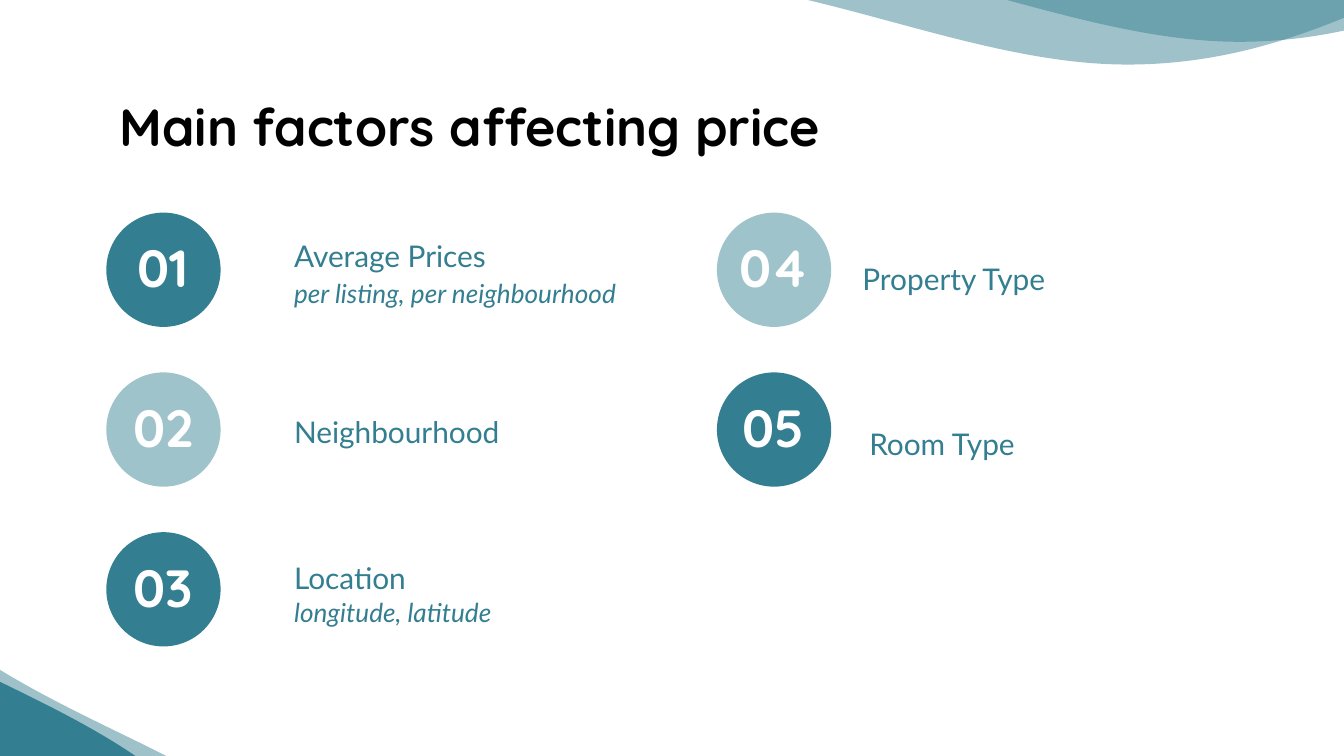
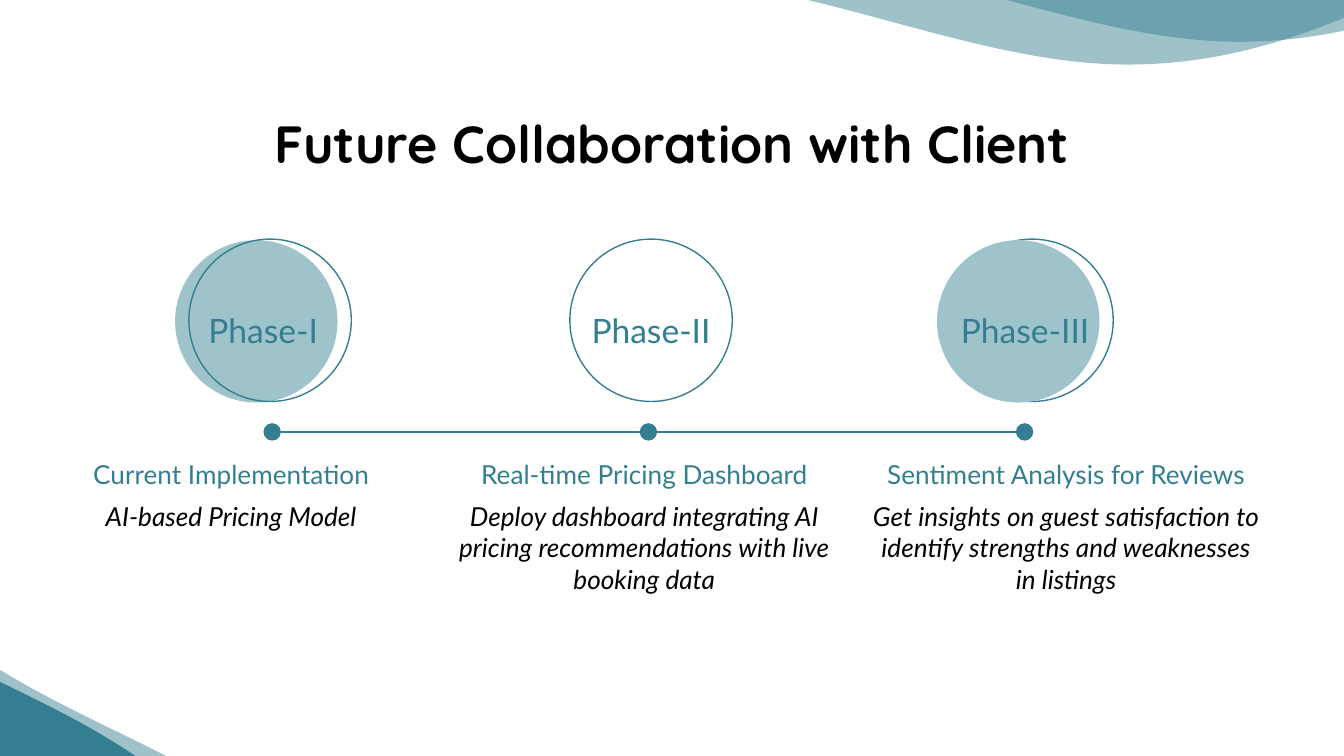
from dataclasses import dataclass
from lxml.etree import SubElement
from pptx import Presentation
from pptx.dml.color import RGBColor
from pptx.enum.shapes import MSO_CONNECTOR, MSO_SHAPE
from pptx.enum.text import MSO_ANCHOR, PP_ALIGN
from pptx.oxml.ns import qn
from pptx.util import Cm, Pt


@dataclass(frozen=True)
class Theme:
    """Hold the colours, fonts and type sizes of the deck."""
    teal: RGBColor = RGBColor(0x33, 0x7E, 0x90)
    pale: RGBColor = RGBColor(0x9F, 0xC3, 0xCB)
    black: RGBColor = RGBColor(0, 0, 0)
    white: RGBColor = RGBColor(0xFF, 0xFF, 0xFF)
    head: str = "Quicksand"
    body: str = "Lato"
    title: int = 28
    phase: int = 18
    item: int = 16
    note: int = 14
    alpha: int = 47


THEME = Theme()
WIDE, HIGH = 25.4, 14.29

WAVE = [
    [(13.89, -0.91)],
    [(17.32, -0.91), (20.4, 0.79), (23.42, 0.79)],
    [(28.87, 0.79), (31.72, -3.94), (39.95, -3.94)],
    [(13.89, -3.94)],
]
HILL = [
    [(8.2, 16.46)],
    [(-5.72, 16.46)],
    [(-5.72, 8)],
    [(-1.35, 15.15), (4.37, 12.22), (8.2, 16.46)],
]
TILT = 11.4

FACTORS = [
    ("01", 0, 0, THEME.teal),
    ("02", 0, 1, THEME.pale),
    ("03", 0, 2, THEME.teal),
    ("04", 1, 0, THEME.pale),
    ("05", 1, 1, THEME.teal),
]
ITEMS = [
    ("Average Prices", 5.31, 4.15, MSO_ANCHOR.TOP),
    ("Neighbourhood", 5.31, 7.47, MSO_ANCHOR.TOP),
    ("Location", 5.31, 10.23, MSO_ANCHOR.TOP),
    ("Property Type", 16.05, 4.72, MSO_ANCHOR.MIDDLE),
    ("Room Type", 16.18, 7.84, MSO_ANCHOR.MIDDLE),
]
NOTES = [
    ("per listing, per neighbourhood", 4.99, 7.26),
    ("longitude, latitude", 11.02, 6.12),
]
PHASES = [
    ("Phase-I", 0.46, "Current Implementation", "AI-based Pricing Model"),
    ("Phase-II", 8.27, "Real-time Pricing Dashboard",
     "Deploy dashboard integrating AI pricing recommendations with live booking data"),
    ("Phase-III", 16.24, "Sentiment Analysis for Reviews",
     "Get insights on guest satisfaction to identify strengths and weaknesses in listings"),
]


def bend(shape, parts):
    """Turn each run of three segments into one cubic curve."""
    lines = iter(list(shape._element.iter(qn("a:lnTo"))))
    for part in parts:
        first = next(lines)
        if len(part) == 3:
            first.tag = qn("a:cubicBezTo")
            for _ in part[1:]:
                line = next(lines)
                first.append(line[0])
                line.getparent().remove(line)


def band(slide, parts, dx=0, dy=0, tilt=0, clear=True):
    """Draw a curved corner band, see-through if clear."""
    spots = [(Cm(x + dx), Cm(y + dy)) for part in parts for x, y in part]
    pen = slide.shapes.build_freeform(*spots[0])
    pen.add_line_segments(spots[1:], close=True)
    shape = pen.convert_to_shape()
    bend(shape, parts[1:])
    shape.rotation = tilt
    paint(shape, THEME.teal)
    if clear:
        tint = shape.fill._xPr.find(qn("a:solidFill"))[0]
        SubElement(tint, qn("a:alpha"), val=str(THEME.alpha * 1000))


def paint(shape, fill=None, line=None):
    """Set the fill and line of a shape and drop its shadow."""
    shape.shadow.inherit = False
    if fill is None:
        shape.fill.background()
    else:
        shape.fill.solid()
        shape.fill.fore_color.rgb = fill
    if line is None:
        shape.line.fill.background()
    else:
        shape.line.color.rgb = line
        shape.line.width = Pt(0.75)


def label(slide, words, x, y, w, h, size, color, anchor=MSO_ANCHOR.TOP,
          font=THEME.body, bold=False, slant=False, align=PP_ALIGN.LEFT, loose=False):
    """Add a wrapped text box with one styled run."""
    frame = slide.shapes.add_textbox(Cm(x), Cm(y), Cm(w), Cm(h)).text_frame
    frame.word_wrap = True
    frame.vertical_anchor = anchor
    frame.margin_top = frame.margin_bottom = Cm(0.25)
    para = frame.paragraphs[0]
    para.alignment = align
    if loose:
        para.line_spacing = 1.15
        para.space_after = Pt(16)
    run = para.add_run()
    run.text = words
    run.font.name = font
    run.font.size = Pt(size)
    run.font.bold = bold
    run.font.italic = slant
    run.font.color.rgb = color


def title(slide, words, x, y, w, h, color=THEME.black, align=PP_ALIGN.LEFT):
    """Add text in the title style."""
    label(slide, words, x, y, w, h, THEME.title, color,
          font=THEME.head, bold=True, align=align)


def disc(slide, x, y, size, fill=None, line=None):
    """Add a circle."""
    shape = slide.shapes.add_shape(MSO_SHAPE.OVAL, Cm(x), Cm(y), Cm(size), Cm(size))
    paint(shape, fill, line)


def badge(slide, words, x, y, fill):
    """Add a numbered circle."""
    size = 2.16
    disc(slide, x, y, size, fill)
    title(slide, words, x, y + 0.18, size, 1.8, THEME.white, PP_ALIGN.CENTER)


def rule(slide, x, y, end):
    """Add a level line from x to end."""
    line = slide.shapes.add_connector(MSO_CONNECTOR.STRAIGHT, Cm(x), Cm(y), Cm(end), Cm(y))
    line.line.color.rgb = THEME.teal
    line.line.width = Pt(1.5)
    SubElement(line._element.spPr, qn("a:effectLst"))


def page(deck):
    """Add a blank slide with the corner bands."""
    slide = deck.slides.add_slide(deck.slide_layouts[6])
    band(slide, HILL, tilt=TILT)
    band(slide, WAVE)
    band(slide, HILL, -2.29, -0.98, tilt=TILT, clear=False)
    band(slide, WAVE, -2.11, 0.43)
    return slide


def factors(deck):
    """Build the slide of price factors."""
    slide = page(deck)
    title(slide, "Main factors affecting price", 2.01, 1.53, 15.8, 3.15)
    for words, col, row, fill in FACTORS:
        badge(slide, words, 2.01 + 11.54 * col, 4.02 + 3.02 * row, fill)
    for words, x, y, anchor in ITEMS:
        label(slide, words, x, y, 6.12, 0.99, THEME.item, THEME.teal, anchor, loose=True)
    for words, y, w in NOTES:
        label(slide, words, 5.31, y, w, 2.03, THEME.note, THEME.teal, slant=True)


def phases(deck):
    """Build the slide of project phases."""
    slide = page(deck)
    mid = PP_ALIGN.CENTER
    title(slide, "Future Collaboration with Client", 0, 1.85, WIDE, 1.17, align=mid)
    size, dot, step = 3.07, 0.33, 7.11
    start, top = 4.98, 8
    rule(slide, start + dot, top + dot / 2, start + 2 * step)
    for i, (name, x, head, text) in enumerate(PHASES):
        disc(slide, start + step * i, top, dot, THEME.teal)
        ring = 3.57 + 7.2 * i
        left = ring - (0.13 if i == 1 else 0.26)
        if i == 0:
            disc(slide, left, 4.54, size, THEME.pale)
        disc(slide, ring, 4.52, size, line=THEME.teal)
        if i == 2:
            disc(slide, left, 4.54, size, THEME.pale)
        label(slide, name, left, 5.49, 3.33, 1.17, THEME.phase, THEME.teal,
              align=mid, loose=True)
        label(slide, text, x, 9.21, 7.82, 2.39, THEME.note, THEME.black,
              align=mid, slant=True)
        label(slide, head, x, 8.32, 7.82, 1.14, THEME.note, THEME.teal,
              align=mid, loose=True)


def main():
    """Build and save the deck."""
    deck = Presentation()
    deck.slide_width, deck.slide_height = Cm(WIDE), Cm(HIGH)
    factors(deck)
    phases(deck)
    deck.save("out.pptx")


if __name__ == "__main__":
    main()
